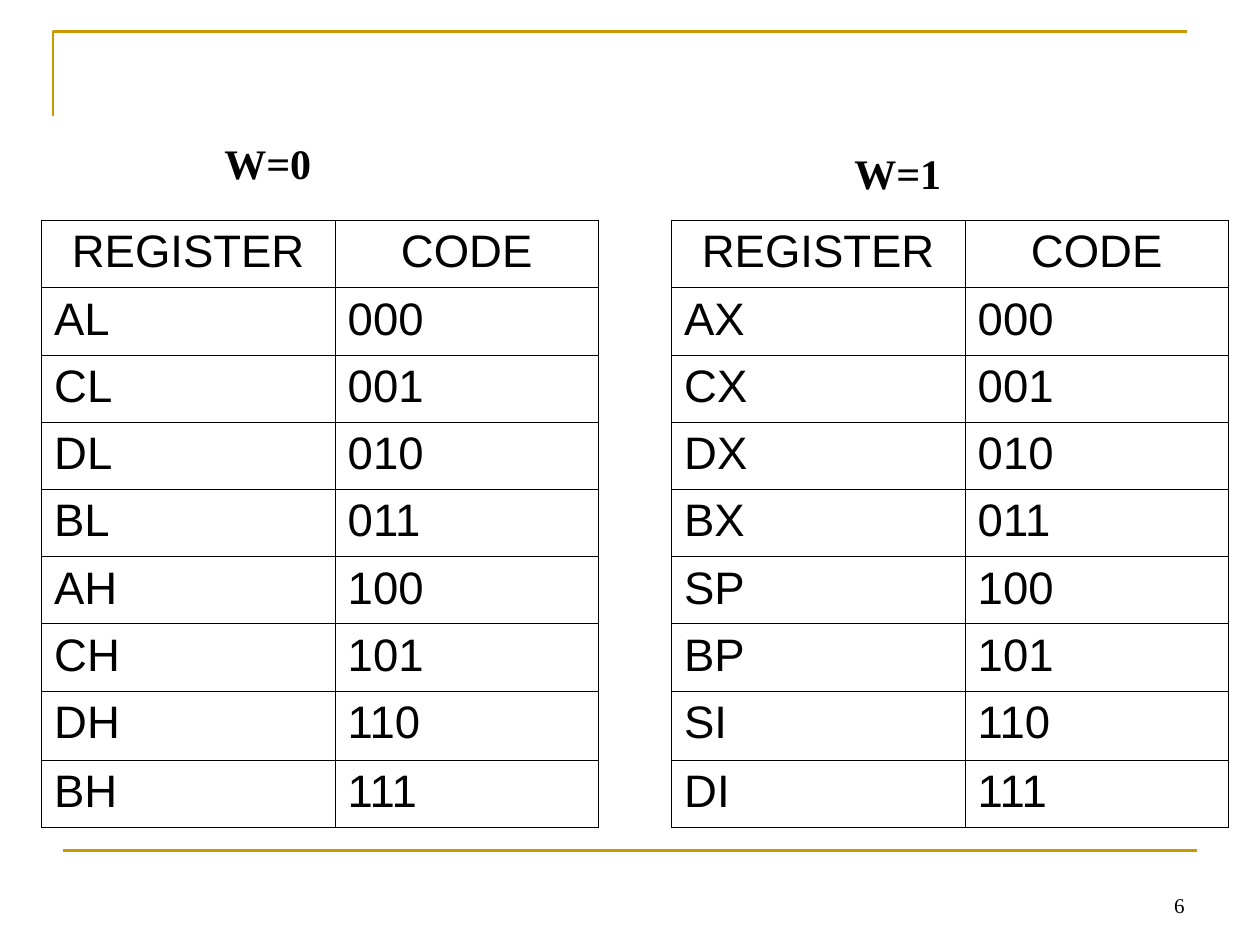
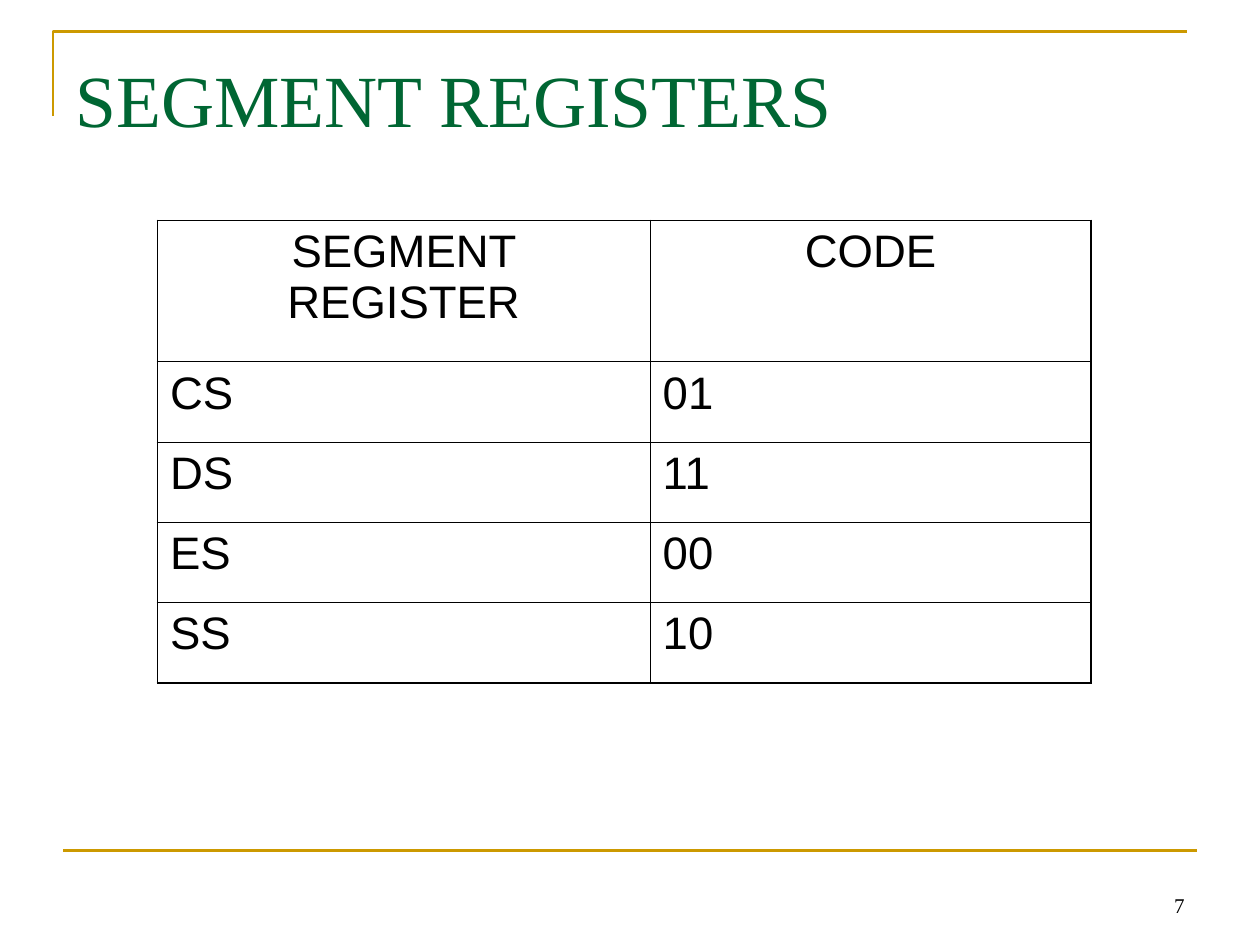
"""Build two slides of register code tables inside a shared gold frame."""
import pptx
import pptx.util
import pptx.dml.color
import pptx.enum.shapes
import pptx.enum.text
import pptx.oxml
import pptx.oxml.ns

Inch = pptx.util.Inches
Pt = pptx.util.Pt
Color = pptx.dml.color.RGBColor
Align = pptx.enum.text.PP_ALIGN
Anchor = pptx.enum.text.MSO_ANCHOR

GOLD = Color(0xCC, 0x99, 0x00)
GREEN = Color(0x00, 0x66, 0x33)
BLACK = Color(0x00, 0x00, 0x00)
SERIF, SANS = "Times New Roman", "Arial"
WIDE, HIGH = 10, 7.5
OUTER, INNER = 1.08, 0.45
TOP = 1.75

BITS = ["000", "001", "010", "011", "100", "101", "110", "111"]
BYTES = ["AL", "CL", "DL", "BL", "AH", "CH", "DH", "BH"]
WORDS = ["AX", "CX", "DX", "BX", "SP", "BP", "SI", "DI"]
SEGS = [("CS", "01"), ("DS", "11"), ("ES", "00"), ("SS", "10")]

PAIR = {"cols": (2.33, 2.09), "high": 4.82, "fixed": {7: 0.55}}
SOLO = {"cols": (3.91, 3.5), "high": 3.67, "fixed": {0: 1.12}}

SLIDES = [
    {
        "page": 6,
        "labels": [("W=0", 0.5, 1), ("W=1", 5.5, 1.08)],
        "tables": [
            (0.33, PAIR, [("REGISTER", "CODE"), *zip(BYTES, BITS)]),
            (5.33, PAIR, [("REGISTER", "CODE"), *zip(WORDS, BITS)]),
        ],
    },
    {
        "page": 7,
        "title": "SEGMENT REGISTERS",
        "tables": [(1.25, SOLO, [("SEGMENT REGISTER", "CODE"), *SEGS])],
    },
]


def write(frame, text, size, font=SERIF, color=BLACK, bold=False, align=Align.LEFT):
    para = frame.paragraphs[0]
    para.alignment = align
    run = para.add_run()
    run.text = text
    run.font.name, run.font.size, run.font.bold = font, Pt(size), bold
    run.font.color.rgb = color


def add_text(slide, box, text, size, anchor, wrap=True, inset=0.05, **look):
    frame = slide.shapes.add_textbox(*map(Inch, box)).text_frame
    frame.word_wrap = wrap
    frame.vertical_anchor = anchor
    frame.margin_top = Inch(inset)
    write(frame, text, size, **look)


def add_frame(slide, page):
    left, top = Inch(0.42), Inch(0.25)
    pen = slide.shapes.build_freeform(left, Inch(0.92))
    pen.add_line_segments([(left, top), (Inch(9.42), top)], close=False)
    corner = pen.convert_to_shape()
    corner.fill.background()
    corner.shadow.inherit = False
    low = Inch(HIGH * 0.9)
    rule = slide.shapes.add_connector(
        pptx.enum.shapes.MSO_CONNECTOR.STRAIGHT,
        Inch(WIDE * 0.05), low, Inch(WIDE * 0.95), low)
    for mark in (corner, rule):
        mark.line.color.rgb = GOLD
        mark.line.width = Pt(1.5)
    props = rule._element.spPr
    props.append(props.makeelement(pptx.oxml.ns.qn("a:effectLst"), {}))
    add_text(slide, (7.17, 6.83, 2.33, 0.5), str(page), 12, Anchor.BOTTOM,
             align=Align.RIGHT)


def set_edges(cell, edges):
    space = pptx.oxml.ns.nsdecls("a")
    props = cell._tc.get_or_add_tcPr()
    for spot, (side, outer) in enumerate(edges.items()):
        width = Pt(OUTER if outer else INNER)
        props.insert(spot, pptx.oxml.parse_xml(
            f'<a:ln{side} {space} w="{width}"><a:solidFill>'
            f'<a:srgbClr val="{BLACK}"/></a:solidFill></a:ln{side}>'))


def add_grid(slide, left, plan, rows):
    cols, high, fixed = plan["cols"], plan["high"], plan["fixed"]
    last = len(rows) - 1
    pitch = (high - sum(fixed.values())) / (len(rows) - len(fixed))
    grid = slide.shapes.add_table(
        len(rows), len(cols), Inch(left), Inch(TOP),
        Inch(sum(cols)), Inch(high)).table
    grid.first_row = grid.horz_banding = False
    for col, width in zip(grid.columns, cols):
        col.width = Inch(width)
    for r, row in enumerate(rows):
        grid.rows[r].height = Inch(fixed.get(r, pitch))
        for c, text in enumerate(row):
            cell = grid.cell(r, c)
            cell.fill.background()
            set_edges(cell, {"L": c == 0, "R": c == len(cols) - 1,
                             "T": r == 0, "B": r == last})
            write(cell.text_frame, text, 26, SANS,
                  align=Align.LEFT if r else Align.CENTER)


def main():
    deck = pptx.Presentation()
    deck.slide_width, deck.slide_height = Inch(WIDE), Inch(HIGH)
    for item in SLIDES:
        slide = deck.slides.add_slide(deck.slide_layouts[6])
        add_frame(slide, item["page"])
        if "title" in item:
            add_text(slide, (0.5, 0.3, 9, 1.25), item["title"], 42, Anchor.TOP,
                     inset=0.13, color=GREEN)
        for left, plan, rows in item["tables"]:
            add_grid(slide, left, plan, rows)
        for text, left, top in item.get("labels", []):
            add_text(slide, (left, top, 3.25, 0.58), text, 24, Anchor.MIDDLE,
                     wrap=False, bold=True, align=Align.CENTER)
    deck.save("out.pptx")


if __name__ == "__main__":
    main()
